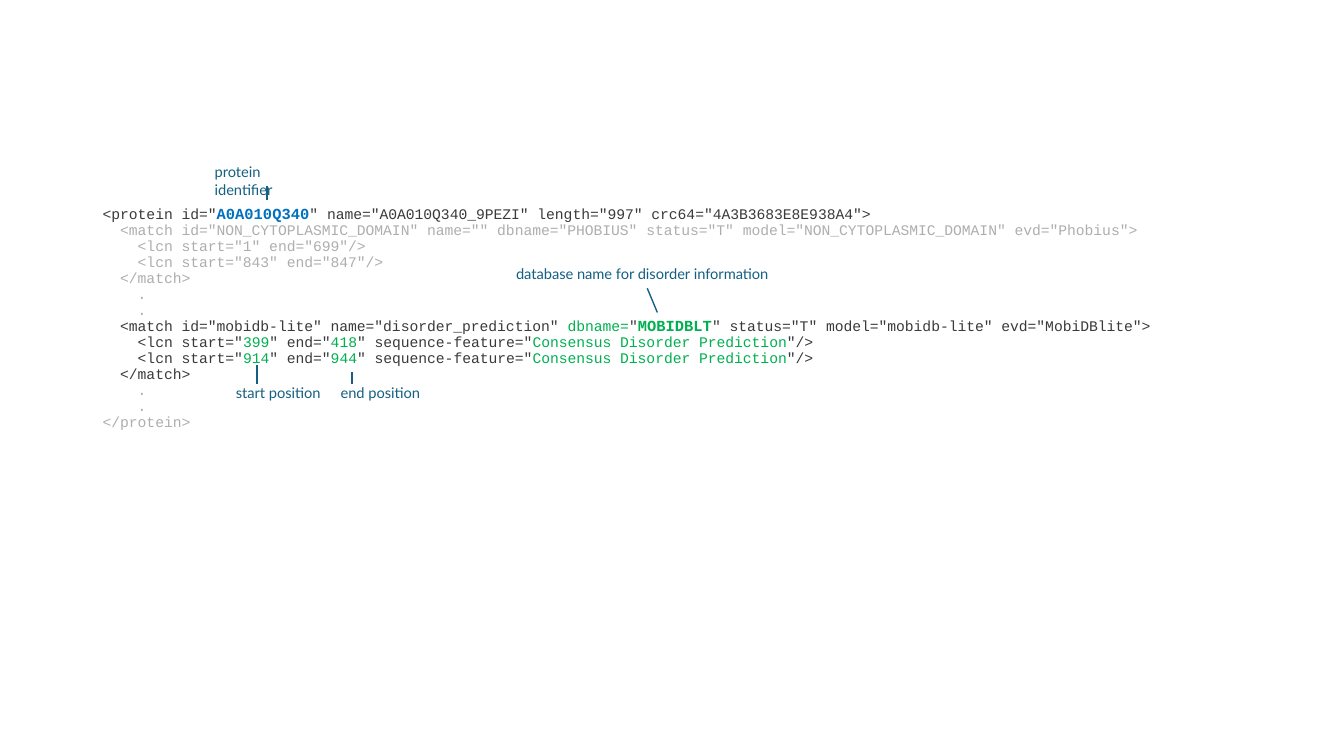
import pptx
import pptx.util
import pptx.dml.color
import pptx.enum.shapes
import pptx.enum.text
import lxml.etree

Inches = pptx.util.Inches
Pt = pptx.util.Pt

COLORS = {"code": "3A3A3A", "faded": "AEAEAE", "identifier": "0070C0",
          "disorder": "00B050", "label": "156082"}
BOLD_SIZE = 11
TEXT_SIZE = 10.5


def rgb(name):
    return pptx.dml.color.RGBColor.from_string(COLORS[name])


def add_text_frame(left, top, width, height):
    frame = slide.shapes.add_textbox(
        Inches(left), Inches(top), Inches(width), Inches(height)).text_frame
    frame.word_wrap = True
    return frame


presentation = pptx.Presentation()
presentation.slide_width = Inches(13.33)
presentation.slide_height = Inches(7.5)
slide = presentation.slides.add_slide(presentation.slide_layouts[6])

# XML listing: each line is a list of (text, color, bold) runs
location_lines = [
    [('    <lcn start="', "code", False), (start, "disorder", False),
     ('" end="', "code", False), (end, "disorder", False),
     ('" sequence-feature="', "code", False),
     ("Consensus Disorder Prediction", "disorder", False),
     ('"/>', "code", False)]
    for start, end in (("399", "418"), ("914", "944"))]
dots = [[("    .", "faded", False)]] * 2
listing = [
    [('<protein id="', "code", False), ("A0A010Q340", "identifier", True),
     ('" name="A0A010Q340_9PEZI" length="997" crc64="4A3B3683E8E938A4">', "code", False)],
    [('  <match id="NON_CYTOPLASMIC_DOMAIN" name="" dbname="PHOBIUS" status="T" '
      'model="NON_CYTOPLASMIC_DOMAIN" evd="Phobius">', "faded", False)],
    [('    <lcn start="1" end="699"/>', "faded", False)],
    [('    <lcn start="843" end="847"/>', "faded", False)],
    [("  </match>", "faded", False)],
    *dots,
    [('  <match id="mobidb-lite" name="disorder_prediction" ', "code", False),
     ("dbname=", "disorder", False), ('"', "code", False),
     ("MOBIDBLT", "disorder", True),
     ('" status="T" model="mobidb-lite" evd="MobiDBlite">', "code", False)],
    *location_lines,
    [("  </match>", "code", False)],
    *dots,
    [("</protein>", "faded", False)],
]
frame = add_text_frame(0.92, 2, 10.94, 2.59)
for index, line in enumerate(listing):
    paragraph = frame.paragraphs[0] if index == 0 else frame.add_paragraph()
    paragraph.line_spacing = 0.9
    paragraph.font.name = "Courier New"
    for text, color, bold in line:
        run = paragraph.add_run()
        run.text = text
        run.font.name = "Courier New"
        run.font.size = Pt(BOLD_SIZE if bold else TEXT_SIZE)
        run.font.bold = bold
        run.font.color.rgb = rgb(color)

# Labels: text, left, top, width
labels = [
    ("protein identifier", 2.03, 1.57, 1.25),
    ("database name for disorder information", 5.02, 2.58, 2.8),
    ("start position", 2.24, 3.76, 1.04),
    ("end position", 3.28, 3.76, 0.99),
]
for text, left, top, width in labels:
    paragraph = add_text_frame(left, top, width, 0.28).paragraphs[0]
    paragraph.text = text
    paragraph.font.name = "Lato"
    paragraph.font.size = Pt(TEXT_SIZE)
    paragraph.font.color.rgb = rgb("label")

# Lines from the labels to the code
pointers = [
    (2.65, 1.98, 2.65, 1.85),
    (6.52, 3.1, 6.42, 2.86),
    (2.55, 3.81, 2.55, 3.62),
    (3.49, 3.81, 3.49, 3.69),
]
for ends in pointers:
    pointer = slide.shapes.add_connector(
        pptx.enum.shapes.MSO_CONNECTOR.STRAIGHT, *map(Inches, ends))
    pointer.line.color.rgb = rgb("label")
    pointer.line.width = Pt(1)
    lxml.etree.SubElement(pointer.element.spPr, pptx.oxml.ns.qn("a:effectLst"))

presentation.save("out.pptx")
